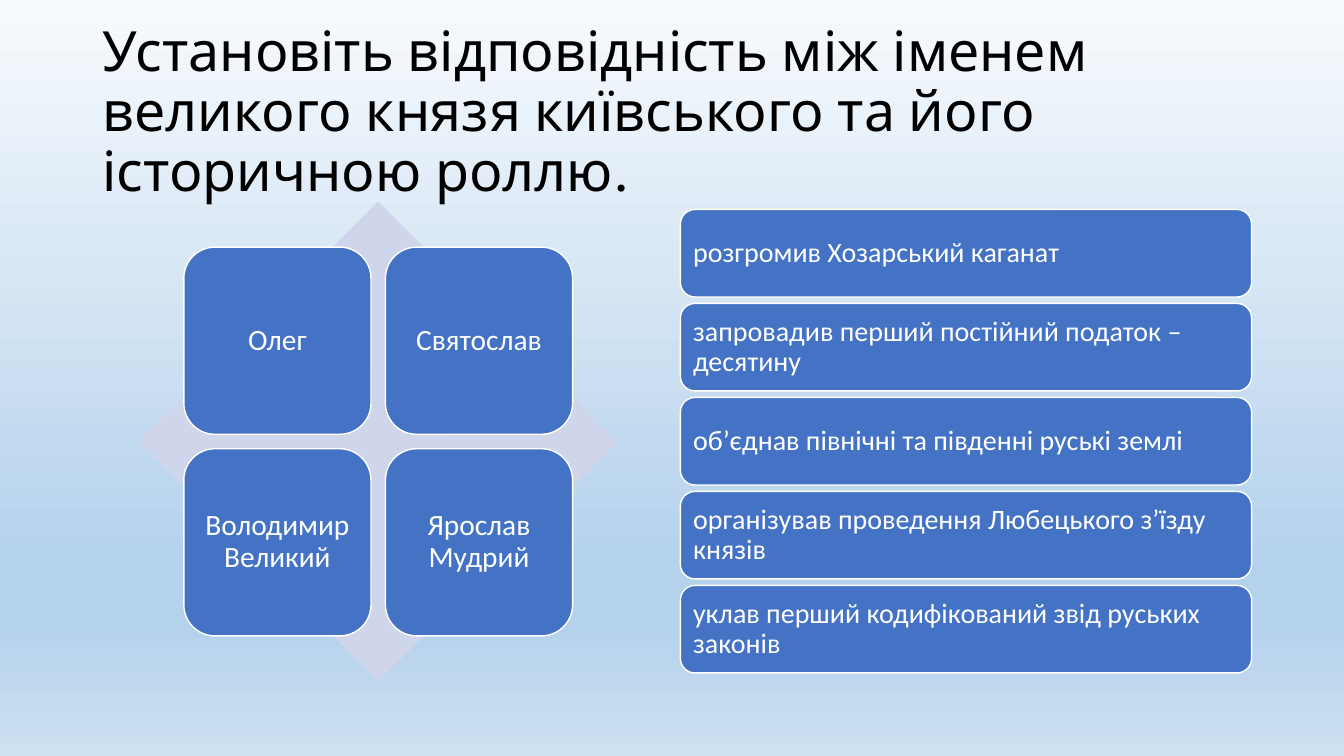
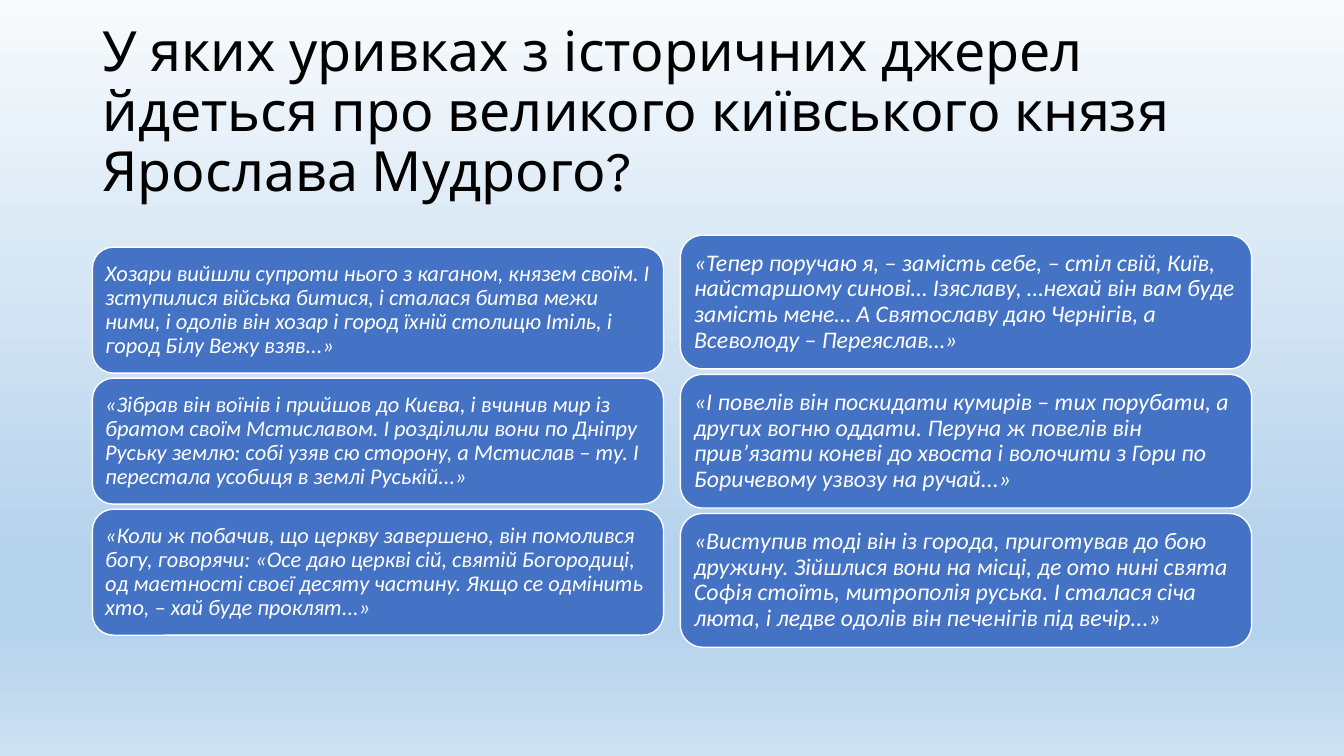
import copy

import pptx
import pptx.dml.color
import pptx.enum.shapes
import pptx.enum.text
import pptx.oxml.ns
import pptx.util

Pt = pptx.util.Pt
SHAPES = pptx.enum.shapes.MSO_SHAPE
ALIGN = pptx.enum.text.PP_ALIGN
MIDDLE = pptx.enum.text.MSO_ANCHOR.MIDDLE

BLUE, PALE, WHITE, BLACK = "4472C4", "CFD5EA", "FFFFFF", "000000"
BACKGROUND_STOPS = [(0, "F7FAFD"), (0.74, "B5D2EC"), (0.83, "B5D2EC"), (1, "CEE1F2")]
COLUMN_WIDTH = 408
LEFT_COLUMN, RIGHT_COLUMN = 66, 486


def paint(color_format, value):
    color_format.rgb = pptx.dml.color.RGBColor.from_string(value)


def add_card(page, left, top, width, height, text, size, align=ALIGN.LEFT, italic=False):
    """Add a blue rounded card whose margins grow with its text size."""
    card = page.shapes.add_shape(
        SHAPES.ROUNDED_RECTANGLE, Pt(left), Pt(top), Pt(width), Pt(height))
    card.shadow.inherit = False
    card.fill.solid()
    paint(card.fill.fore_color, BLUE)
    paint(card.line.color, WHITE)
    card.line.width = Pt(1)

    frame = card.text_frame
    frame.word_wrap = True
    frame.vertical_anchor = MIDDLE
    frame.margin_left = frame.margin_right = Pt(0.3 * size)
    frame.margin_top = frame.margin_bottom = Pt(0.3 * size)
    para = frame.paragraphs[0]
    para.alignment = align
    para.line_spacing = 0.9
    span = para.add_run()
    span.text = text
    span.font.name = "Calibri"
    span.font.size = Pt(size)
    span.font.italic = italic
    paint(span.font.color, WHITE)


deck = pptx.Presentation()
deck.slide_width, deck.slide_height = Pt(960), Pt(540)

# Shared background
master = deck.slide_master
background = master.background.fill
background.gradient()
background.gradient_angle = 270
stop_list = master.element.find(".//" + pptx.oxml.ns.qn("a:gsLst"))
while len(stop_list) < len(BACKGROUND_STOPS):
    stop_list.append(copy.deepcopy(stop_list[0]))
for stop, (position, value) in zip(background.gradient_stops, BACKGROUND_STOPS):
    stop.position = position
    paint(stop.color, value)

# Pages with their titles
titles = [
    "Установіть відповідність між іменем великого князя київського та його історичною роллю.",
    "У яких уривках з історичних джерел йдеться про великого київського князя Ярослава Мудрого?",
]
pages = []
for title_text in titles:
    page = deck.slides.add_slide(deck.slide_layouts[5])
    title = page.shapes.title
    title.left, title.top, title.width, title.height = Pt(66), Pt(28.8), Pt(828), Pt(104.4)
    title.text_frame.word_wrap = True
    title.text_frame.auto_size = pptx.enum.text.MSO_AUTO_SIZE.NONE
    title.text_frame.vertical_anchor = MIDDLE
    para = title.text_frame.paragraphs[0]
    para.alignment = ALIGN.LEFT
    para.line_spacing = 0.9
    span = para.add_run()
    span.text = title_text
    span.font.name = "League Spartan"
    span.font.size = Pt(39.6)
    paint(span.font.color, BLACK)
    pages.append(page)
matching_page, sources_page = pages

# Princes in a two by two grid over a diamond
diamond = matching_page.shapes.add_shape(
    SHAPES.DIAMOND, Pt(98.8), Pt(144), Pt(342.7), Pt(342.7))
diamond.shadow.inherit = False
diamond.fill.solid()
paint(diamond.fill.fore_color, PALE)
diamond.line.fill.background()

princes = ["Олег", "Святослав", "Володимир Великий", "Ярослав Мудрий"]
for index, prince in enumerate(princes):
    row, column = divmod(index, 2)
    add_card(matching_page, 131.3 + 144 * column, 176.5 + 144 * row, 133.7, 133.7,
             prince, 21, align=ALIGN.CENTER)

# Historical roles
roles = [
    "розгромив Хозарський каганат",
    "запровадив перший постійний податок – десятину",
    "об’єднав північні та південні руські землі",
    "організував проведення Любецького з’їзду князів",
    "уклав перший кодифікований звід руських законів",
]
for index, role in enumerate(roles):
    add_card(matching_page, RIGHT_COLUMN, 149.6 + 67.14 * index, COLUMN_WIDTH, 62.5, role, 20)

# Quotations: left, top, card height, step, text size, texts
quote_columns = [
    (LEFT_COLUMN, 176.5, 90, 93.6, 16, [
        "Хозари вийшли супроти нього з каганом, князем своїм. І зступилися війська битися, "
        "і сталася битва межи ними, і одолів він хозар і город їхній столицю Ітіль, "
        "і город Білу Вежу взяв...»",
        "«Зібрав він воїнів і прийшов до Києва, і вчинив мир із братом своїм Мстиславом. "
        "І розділили вони по Дніпру Руську землю: собі узяв сю сторону, а Мстислав – ту. "
        "І перестала усобиця в землі Руській...»",
        "«Коли ж побачив, що церкву завершено, він помолився богу, говорячи: «Осе даю церкві "
        "сій, святій Богородиці, од маєтності своєї десяту частину. Якщо се одмінить хто, "
        "– хай буде проклят...»",
    ]),
    (RIGHT_COLUMN, 168, 95.5, 99.4, 17, [
        "«Тепер поручаю я, – замість себе, – стіл свій, Київ, найстаршому синові… Ізяславу, "
        "…нехай він вам буде замість мене… А Святославу даю Чернігів, "
        "а Всеволоду – Переяслав…»",
        "«І повелів він поскидати кумирів – тих порубати, а других вогню оддати. Перуна ж "
        "повелів він прив’язати коневі до хвоста і волочити з Гори по Боричевому узвозу "
        "на ручай...»",
        "«Виступив тоді він із города, приготував до бою дружину. Зійшлися вони на місці, "
        "де ото нині свята Софія стоїть, митрополія руська. І сталася січа люта, "
        "і ледве одолів він печенігів під вечір...»",
    ]),
]
for left, top, height, step, size, quotes in quote_columns:
    for index, quote in enumerate(quotes):
        add_card(sources_page, left, top + step * index, COLUMN_WIDTH, height,
                 quote, size, italic=True)

deck.save("out.pptx")
